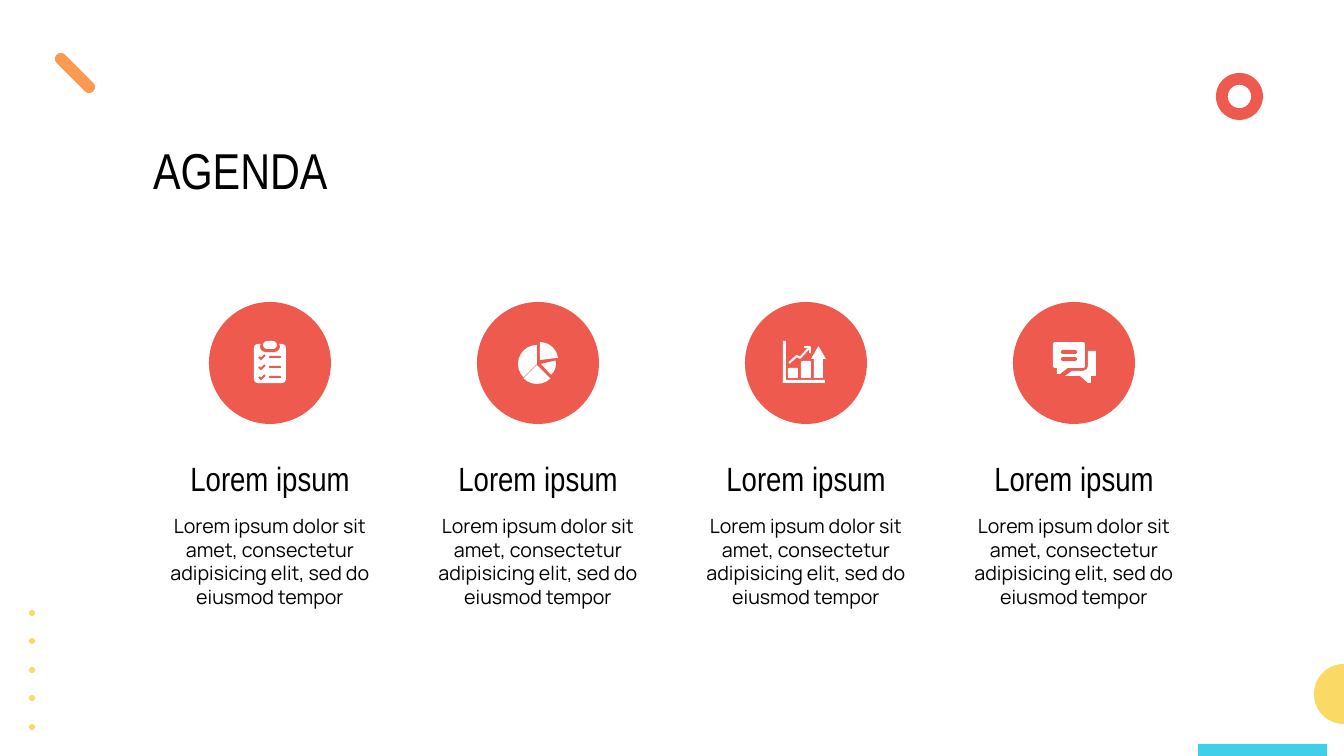
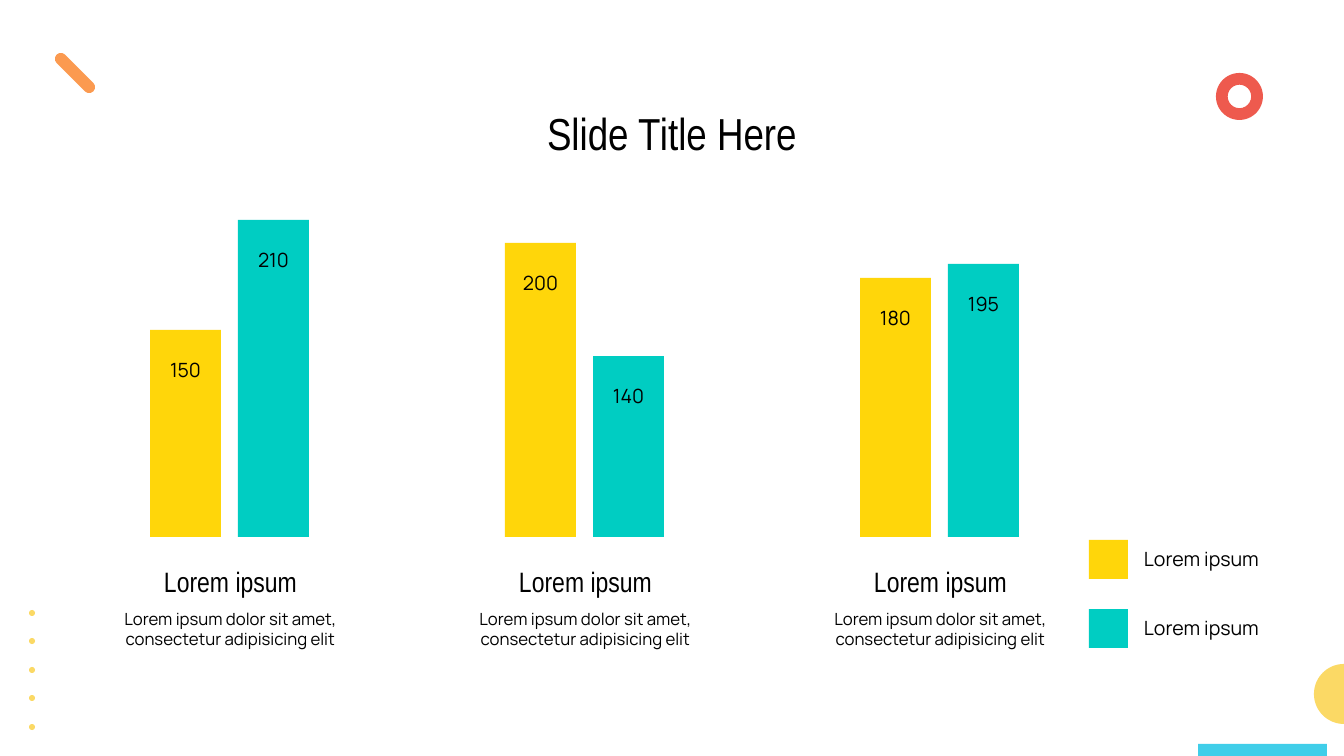
"""Builds an agenda slide and a paired-bar slide on one shared layout."""
import dataclasses
import math

import pptx
import pptx.dml.color
import pptx.enum.shapes
import pptx.enum.text
import pptx.util

KIND = pptx.enum.shapes.MSO_SHAPE
ALIGN = pptx.enum.text.PP_ALIGN
ANCHOR = pptx.enum.text.MSO_ANCHOR
FIT = pptx.enum.text.MSO_AUTO_SIZE
WIDE, HIGH = 1344, 756
SCALE = 12192000 / WIDE


def rgb(code):
    return pptx.dml.color.RGBColor.from_string(code)


@dataclasses.dataclass(frozen=True)
class Theme:
    ink = rgb("000000")
    white = rgb("FFFFFF")
    red = rgb("EE5A4E")
    orange = rgb("FB9A50")
    sand = rgb("FBD965")
    sky = rgb("40CEE9")
    gold = rgb("FFD60A")
    teal = rgb("00CDC2")
    cover = {"name": "Arial Narrow", "size": pptx.util.Pt(36)}
    title = {"name": "Arial Narrow", "size": pptx.util.Pt(32)}
    head = {"name": "Arial Narrow", "size": pptx.util.Pt(24)}
    label = {"name": "Arial Narrow", "size": pptx.util.Pt(20)}
    body = {"name": "Manrope", "size": pptx.util.Pt(14)}
    small = {"name": "Manrope", "size": pptx.util.Pt(12)}


THEME = Theme()


def px(num):
    return pptx.util.Emu(round(num * SCALE))


def apply(item, values):
    for key, value in values.items():
        setattr(item, key, value)


def place(item, x, y, w, h):
    apply(item, {"left": px(x), "top": px(y), "width": px(w), "height": px(h)})


def write(item, text, font, align=ALIGN.CENTER, anchor=ANCHOR.TOP, **inset):
    frame = item.text_frame
    apply(frame, {"word_wrap": True, "auto_size": FIT.NONE,
                  "vertical_anchor": anchor, **inset})
    frame.text = text
    para = frame.paragraphs[0]
    para.alignment = align
    apply(para.font, font)
    para.font.color.rgb = THEME.ink


def paint(item, fill, line=None, width=0):
    item.shadow.inherit = False
    if fill is None:
        item.fill.background()
    else:
        item.fill.solid()
        item.fill.fore_color.rgb = fill
    if line is None:
        item.line.fill.background()
    else:
        item.line.color.rgb = line
        item.line.width = px(width)
    return item


def shape(slide, kind, x, y, w, h, fill, **more):
    item = slide.shapes.add_shape(kind, px(x), px(y), px(w), px(h))
    for i, value in enumerate(more.pop("adjust", ())):
        item.adjustments[i] = value
    apply(item, more)
    return paint(item, fill)


def outline(slide, x, y, points, fill=None, line=None, width=0):
    spots = [(px(x + a), px(y + b)) for a, b in points]
    pen = slide.shapes.build_freeform(*spots[0], scale=1.0)
    pen.add_line_segments(spots[1:], close=fill is not None)
    return paint(pen.convert_to_shape(), fill, line, width)


def note(slide, x, y, w, h, text, font, **more):
    item = slide.shapes.add_textbox(px(x), px(y), px(w), px(h))
    write(item, text, font, **more)


def title(slide, x, y, w, h, text, font, align):
    item = slide.shapes.title
    place(item, x, y, w, h)
    write(item, text, font, align)


def adorn(slide, layout):
    arc = [(30 * math.cos(math.radians(a)), 30 * math.sin(math.radians(a)))
           for a in range(90, 271, 5)]
    parts = [
        shape(slide, KIND.ROUNDED_RECTANGLE, 69, 47, 12, 52, THEME.orange,
              adjust=[0.5], rotation=315),
        outline(slide, WIDE, 694, arc, THEME.sand),
        shape(slide, KIND.RECTANGLE, 1198, 744, 129, 12, THEME.sky),
        shape(slide, KIND.DONUT, 1216, 73, 47, 47, THEME.red),
    ]
    parts += [shape(slide, KIND.OVAL, 29, 610 + 57 * i // 2, 6, 6, THEME.sand)
              for i in range(5)]
    for part in parts:
        layout.shapes.element.append(part.element)


def round_box(slide, x, y, w, h, fill, bend):
    shape(slide, KIND.ROUNDED_RECTANGLE, x, y, w, h, fill, adjust=[bend])


def list_icon(slide, x, y):
    round_box(slide, x - 16, y - 19, 32, 39, THEME.white, 0.12)
    round_box(slide, x - 10, y - 22, 20, 11, THEME.red, 0.5)
    round_box(slide, x - 7, y - 22, 14, 8, THEME.white, 0.5)
    for row in range(3):
        base = y - 6 + 10 * row
        outline(slide, x, base, [(-11, 0), (-9, 2), (-5, -2)],
                line=THEME.red, width=2)
        round_box(slide, x - 1, base - 1, 12, 2, THEME.red, 0.5)


def pie_icon(slide, x, y):
    for a, b, r, start, end in ((2, -3, 18, 270, 353), (-1, 1, 19, 135, 270),
                                (-1, 2, 19, 45, 135), (3, 1, 15, 347, 47)):
        shape(slide, KIND.PIE, x + a - r, y + b - r, 2 * r, 2 * r, THEME.white,
              adjust=[start * 0.6, end * 0.6])


def graph_icon(slide, x, y):
    for a, b, w, h in ((-23, -22, 3, 42), (-23, 17, 42, 3),
                       (-18, 5, 10, 10), (-5, -2, 10, 17)):
        round_box(slide, x + a, y + b, w, h, THEME.white, 0.1)
    shape(slide, KIND.UP_ARROW, x + 5, y - 17, 15, 32, THEME.white,
          adjust=[0.6, 0.87])
    for line in ([(-17, 0), (-9, -7), (-6, -5), (3, -15)],
                 [(-2, -16), (4, -16), (4, -10)]):
        outline(slide, x, y, line, line=THEME.white, width=2)


def chat_icon(slide, x, y):
    round_box(slide, x - 21, y - 21, 32, 26, THEME.white, 0.08)
    outline(slide, x, y, [(-17, 4), (-17, 11), (-14, 11), (-5, 4)],
            THEME.white)
    outline(slide, x, y, [(14, -12), (22, -12), (22, 13), (17, 13), (17, 20),
                          (14, 20), (6, 13), (-9, 13), (-2, 8), (9, 8),
                          (13, 6), (14, 3)], THEME.white)
    for top in (-13, -6):
        round_box(slide, x - 13, y + top, 16, 4, THEME.red, 0.5)


def agenda(slide):
    title(slide, 143, 134, 543, 72, "AGENDA", THEME.cover, ALIGN.LEFT)
    text = ("Lorem ipsum dolor sit amet, consectetur adipisicing elit, "
            "sed do eiusmod tempor")
    for i, icon in enumerate((list_icon, pie_icon, graph_icon, chat_icon)):
        x = 151 + 268 * i
        note(slide, x, 509, 238, 105, text, THEME.body)
        note(slide, x, 453, 238, 50, "Lorem ipsum", THEME.head)
        shape(slide, KIND.OVAL, x + 58, 302, 122, 122, THEME.red)
        icon(slide, x + 119, 363)


def bars(slide):
    title(slide, 331, 101, 682, 65, "Slide Title Here", THEME.title,
          ALIGN.CENTER)
    tints = (THEME.gold, THEME.teal)
    pairs = (((150, 207), (210, 317)), ((200, 294), (140, 181)),
             ((180, 259), (195, 273)))
    base = 537
    for i, pair in enumerate(pairs):
        x = 93 + 355 * i
        note(slide, x, 560, 275, 44, "Lorem ipsum", THEME.label)
        note(slide, x, 604, 275, 50,
             "Lorem ipsum dolor sit amet, consectetur adipisicing elit",
             THEME.small)
        for j, (value, high) in enumerate(pair):
            bar = shape(slide, KIND.RECTANGLE, x + 57 + 88 * j, base - high,
                        71, high, tints[j])
            write(bar, str(value), THEME.body, margin_top=px(28))
    for j, tint in enumerate(tints):
        y = 540 + 69 * j
        shape(slide, KIND.RECTANGLE, 1089, y, 39, 39, tint)
        note(slide, 1134, y + 2, 159, 34, "Lorem ipsum", THEME.body,
             align=ALIGN.LEFT, anchor=ANCHOR.MIDDLE)


def main():
    deck = pptx.Presentation()
    apply(deck, {"slide_width": px(WIDE), "slide_height": px(HIGH)})
    layout = deck.slide_layouts[5]
    first, second = (deck.slides.add_slide(layout) for _ in range(2))
    adorn(first, layout)
    agenda(first)
    bars(second)
    deck.save("out.pptx")


if __name__ == "__main__":
    main()
